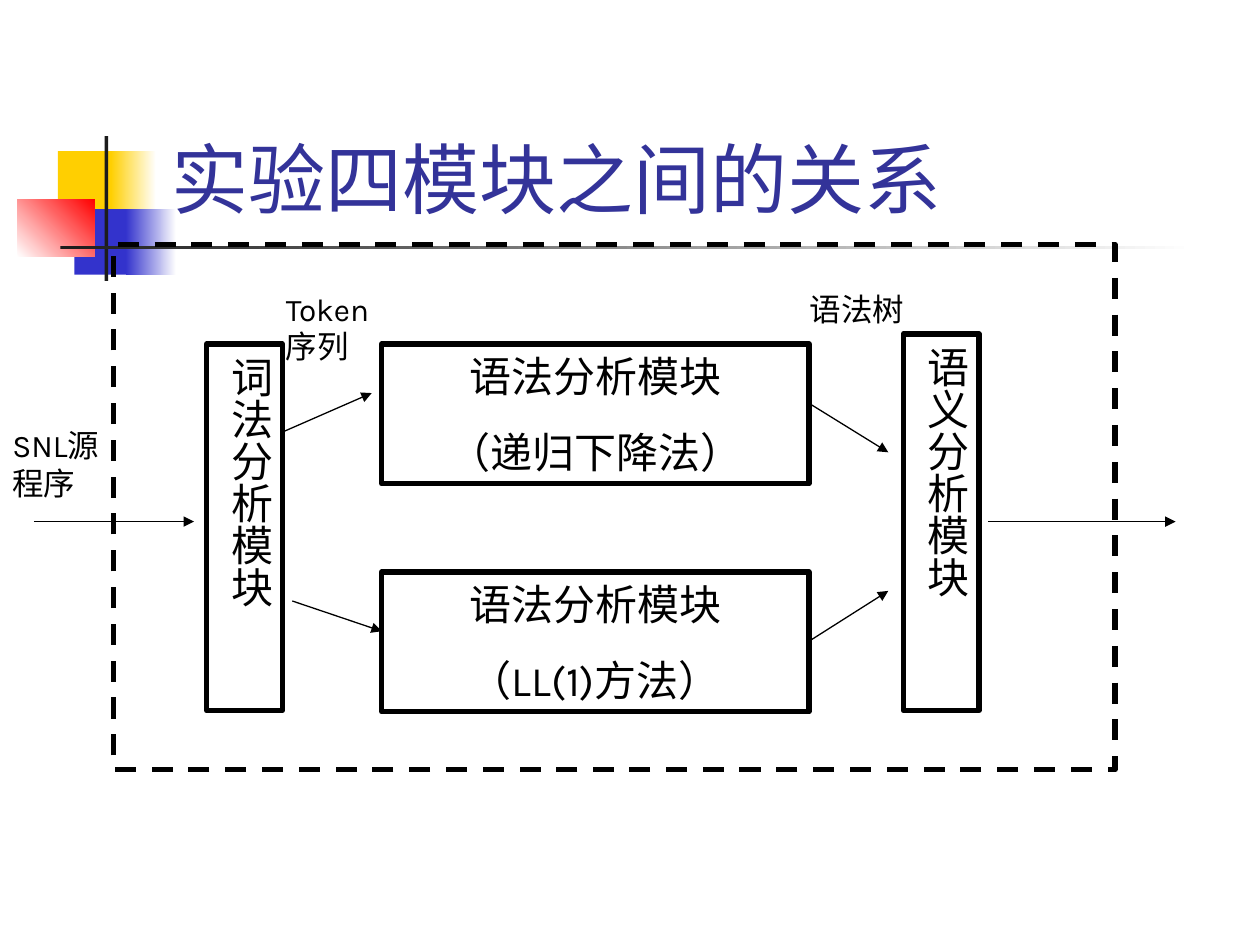
from lxml.etree import SubElement
from pptx import Presentation
from pptx.dml.color import RGBColor
from pptx.enum.dml import MSO_LINE
from pptx.enum.shapes import MSO_CONNECTOR, MSO_SHAPE
from pptx.enum.text import MSO_ANCHOR, MSO_AUTO_SIZE, PP_ALIGN
from pptx.oxml.ns import qn
from pptx.util import Inches, Pt

FONT = "Karla"
BLACK = RGBColor(0x00, 0x00, 0x00)
WHITE = RGBColor(0xFF, 0xFF, 0xFF)
CHARCOAL = RGBColor(0x1C, 0x1C, 0x1C)
YELLOW = RGBColor(0xFF, 0xCF, 0x01)
BLUE = RGBColor(0x33, 0x33, 0xCC)
RED = RGBColor(0xFF, 0x00, 0x00)
NAVY = RGBColor(0x33, 0x33, 0x99)


def inches(box):
    return [Inches(length) for length in box]


def add_rect(slide, box):
    rect = slide.shapes.add_shape(MSO_SHAPE.RECTANGLE, *inches(box))
    rect.shadow.inherit = False
    return rect


def add_block(slide, box, start, end=None, angle=0):
    block = add_rect(slide, box)
    block.line.fill.background()
    if end is None:
        block.fill.solid()
        block.fill.fore_color.rgb = start
        return
    block.fill.gradient()
    block.fill.gradient_angle = angle
    for stop, color in zip(block.fill.gradient_stops, (start, end)):
        stop.color.rgb = color


def add_frame(slide, box):
    frame = add_rect(slide, box)
    frame.fill.background()
    frame.line.color.rgb = BLACK
    frame.line.width = Pt(3)
    return frame


def write_lines(text_frame, lines, size, color=BLACK, align=PP_ALIGN.LEFT, before=0):
    text_frame.word_wrap = True
    text_frame.auto_size = MSO_AUTO_SIZE.NONE
    text_frame.text = "\n".join(lines)
    for paragraph in text_frame.paragraphs:
        paragraph.alignment = align
        paragraph.space_before = Pt(before)
        paragraph.font.size = Pt(size)
        paragraph.font.name = FONT
        paragraph.font.color.rgb = color


def add_module(slide, box, lines, vertical=False):
    text_frame = add_frame(slide, box).text_frame
    text_frame.vertical_anchor = MSO_ANCHOR.TOP
    if vertical:
        text_frame.margin_left = text_frame.margin_right = Inches(0.05)
        text_frame.margin_top = text_frame.margin_bottom = Inches(0.1)
        text_frame._txBody.bodyPr.set("vert", "eaVert")
    write_lines(text_frame, lines, 24, align=PP_ALIGN.CENTER, before=15)


def add_label(slide, box, text):
    label = slide.shapes.add_textbox(*inches(box))
    write_lines(label.text_frame, [text], 18)


def add_arrow(slide, start, end):
    arrow = slide.shapes.add_connector(
        MSO_CONNECTOR.STRAIGHT, *inches(start + end))
    arrow.line.color.rgb = BLACK
    arrow.line.width = Pt(0.75)
    SubElement(arrow.line._get_or_add_ln(), qn("a:tailEnd"), type="triangle")
    SubElement(arrow._element.spPr, qn("a:effectLst"))


def add_ornament(slide, box):
    left, top, width, height = box
    add_block(slide, (left + 0.32, top + 0.12, 0.48, 0.52), YELLOW)
    add_block(slide, (left + 0.74, top + 0.12, 0.36, 0.52), YELLOW, WHITE)
    add_block(slide, (left + 0.45, top + 0.58, 0.46, 0.52), BLUE)
    add_block(slide, (left + 0.86, top + 0.58, 0.4, 0.52), BLUE, WHITE)
    add_block(slide, (left, top + 0.5, 0.61, 0.46), WHITE, RED, angle=45)
    add_block(slide, (left + 0.69, top, 0.03, height), CHARCOAL)
    add_block(slide, (left + 0.34, top + 0.87, width - 0.34, 0.03), CHARCOAL, WHITE)


def add_title(slide, box, text):
    title = slide.shapes.title
    title.left, title.top, title.width, title.height = inches(box)
    title.text_frame.vertical_anchor = MSO_ANCHOR.BOTTOM
    write_lines(title.text_frame, [text], 44, NAVY)


def add_module_diagram(slide, box):
    left, top, width, height = box

    def at(x, y, *size):
        return (left + x, top + y, *size)

    add_module(slide, at(7.17, 0.71, 0.6, 2.99), ["语义分析模块"], vertical=True)
    add_module(slide, at(1.64, 0.79, 0.6, 2.91), ["词法分析模块"], vertical=True)
    for row, method in enumerate(("（递归下降法）", "（LL(1)方法）")):
        add_module(slide, at(3.03, 0.79 + row * 1.81, 3.39, 1.11),
                   ["语法分析模块", method])

    for start, end in (
        ((0.27, 2.2), (1.54, 2.2)),
        ((2.24, 1.49), (2.95, 1.18)),
        ((2.32, 2.83), (3.03, 3.07)),
        ((6.42, 1.26), (7.05, 1.65)),
        ((6.42, 3.15), (7.05, 2.75)),
        ((7.84, 2.2), (9.33, 2.2)),
    ):
        add_arrow(slide, at(*start), at(*end))

    boundary = add_frame(slide, at(0.9, 0, width - 1.38, height))
    boundary.line.dash_style = MSO_LINE.DASH

    add_label(slide, at(0, 1.39, 1, 0.7), "SNL源程序")
    add_label(slide, at(2.17, 0.31, 1, 0.7), "Token序列")
    add_label(slide, at(6.33, 0.31, 1, 0.4), "语法树")


def main():
    deck = Presentation()
    deck.slide_width, deck.slide_height = Inches(10), Inches(7.5)
    slide = deck.slides.add_slide(deck.slide_layouts[5])
    add_ornament(slide, (0.14, 1.08, 9.34, 1.15))
    add_title(slide, (1.26, 0.23, 8.52, 1.6), "实验四模块之间的关系")
    add_module_diagram(slide, (0, 1.94, 9.33, 4.17))
    deck.save("out.pptx")


if __name__ == "__main__":
    main()
